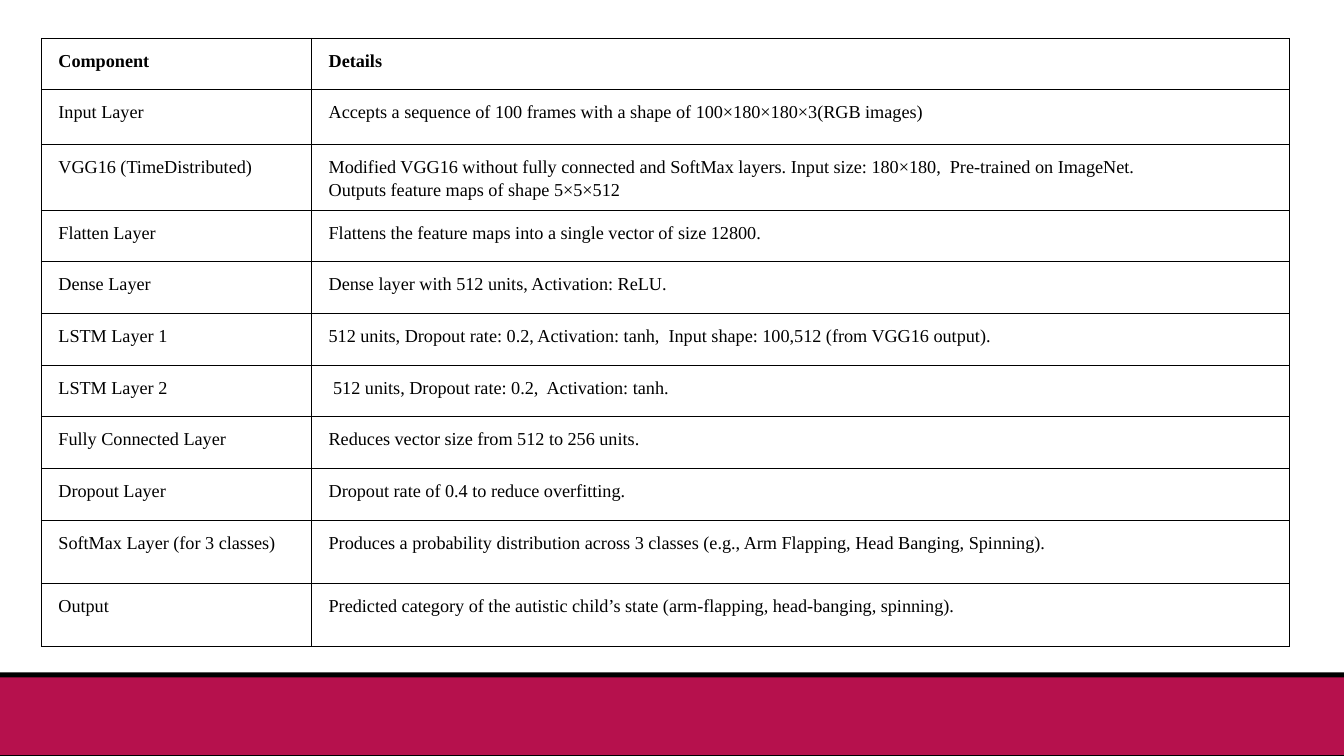
from lxml import etree
from pptx import Presentation
from pptx import util as u
from pptx.dml.color import RGBColor
from pptx.enum import shapes, text
from pptx.oxml import ns

BLACK = RGBColor(0x00, 0x00, 0x00)
CRIMSON = RGBColor(0xB6, 0x11, 0x4D)
FONT = "Times New Roman"
COLUMN_WIDTHS = [2.68, 9.7]
LAYERS = [
    (0.51, "Component", "Details"),
    (0.54, "Input Layer",
     "Accepts a sequence of 100 frames with a shape of 100×180×180×3(RGB images)"),
    (0.65, "VGG16 (TimeDistributed)",
     "Modified VGG16 without fully connected and SoftMax layers. "
     "Input size: 180×180,  Pre-trained on ImageNet.\n"
     "Outputs feature maps of shape 5×5×512"),
    (0.51, "Flatten Layer", "Flattens the feature maps into a single vector of size 12800."),
    (0.51, "Dense Layer", "Dense layer with 512 units, Activation: ReLU."),
    (0.52, "LSTM Layer 1",
     "512 units, Dropout rate: 0.2, Activation: tanh,  Input shape: 100,512 (from VGG16 output)."),
    (0.51, "LSTM Layer 2", " 512 units, Dropout rate: 0.2,  Activation: tanh."),
    (0.51, "Fully Connected Layer", "Reduces vector size from 512 to 256 units."),
    (0.52, "Dropout Layer", "Dropout rate of 0.4 to reduce overfitting."),
    (0.62, "SoftMax Layer (for 3 classes)",
     "Produces a probability distribution across 3 classes "
     "(e.g., Arm Flapping, Head Banging, Spinning)."),
    (0.63, "Output",
     "Predicted category of the autistic child’s state (arm-flapping, head-banging, spinning)."),
]


def write_text(frame, content, size=13, bold=False, color=BLACK, line_spacing=1.15):
    for index, line in enumerate(content.split("\n")):
        paragraph = frame.add_paragraph() if index else frame.paragraphs[0]
        paragraph.alignment = text.PP_ALIGN.LEFT
        paragraph.line_spacing = line_spacing
        run = paragraph.add_run()
        run.text = line
        run.font.name = FONT
        run.font.size = u.Pt(size)
        run.font.bold = bold
        run.font.color.rgb = color


def add_borders(cell, color=BLACK, width=0.6):
    properties = cell._tc.get_or_add_tcPr()
    for side in ("a:lnL", "a:lnR", "a:lnT", "a:lnB"):
        line = etree.SubElement(properties, ns.qn(side), w=str(u.Pt(width)))
        fill = etree.SubElement(line, ns.qn("a:solidFill"))
        etree.SubElement(fill, ns.qn("a:srgbClr"), val=str(color))


def add_bar(slide, left, top, width, height, color):
    bar = slide.shapes.add_shape(
        shapes.MSO_SHAPE.RECTANGLE, *map(u.Inches, (left, top, width, height)))
    bar.shadow.inherit = False
    bar.fill.solid()
    bar.fill.fore_color.rgb = color
    bar.line.fill.background()


def add_footer(slide, left, top, width, height):
    add_bar(slide, left, top, width, height, BLACK)
    add_bar(slide, left, top + 0.05, width, height - 0.07, CRIMSON)


def add_layer_table(slide, left, top):
    width = sum(COLUMN_WIDTHS)
    height = sum(layer[0] for layer in LAYERS)
    table = slide.shapes.add_table(
        len(LAYERS), len(COLUMN_WIDTHS), *map(u.Inches, (left, top, width, height))).table
    table.first_row = False
    table.horz_banding = False
    for column, column_width in zip(table.columns, COLUMN_WIDTHS):
        column.width = u.Inches(column_width)
    for index, (row_height, *contents) in enumerate(LAYERS):
        row = table.rows[index]
        row.height = u.Inches(row_height)
        for cell, content in zip(row.cells, contents):
            cell.margin_left = u.Inches(0.17)
            cell.margin_right = cell.margin_top = cell.margin_bottom = u.Inches(0.1)
            write_text(cell.text_frame, content, bold=index == 0)
            add_borders(cell)
            cell.fill.background()


def main():
    presentation = Presentation()
    presentation.slide_width = u.Inches(13.33)
    presentation.slide_height = u.Inches(7.5)
    slide = presentation.slides.add_slide(presentation.slide_layouts[6])
    add_footer(slide, 0, 6.67, 13.33, 0.84)
    add_layer_table(slide, 0.41, 0.38)
    presentation.save("out.pptx")


if __name__ == "__main__":
    main()
